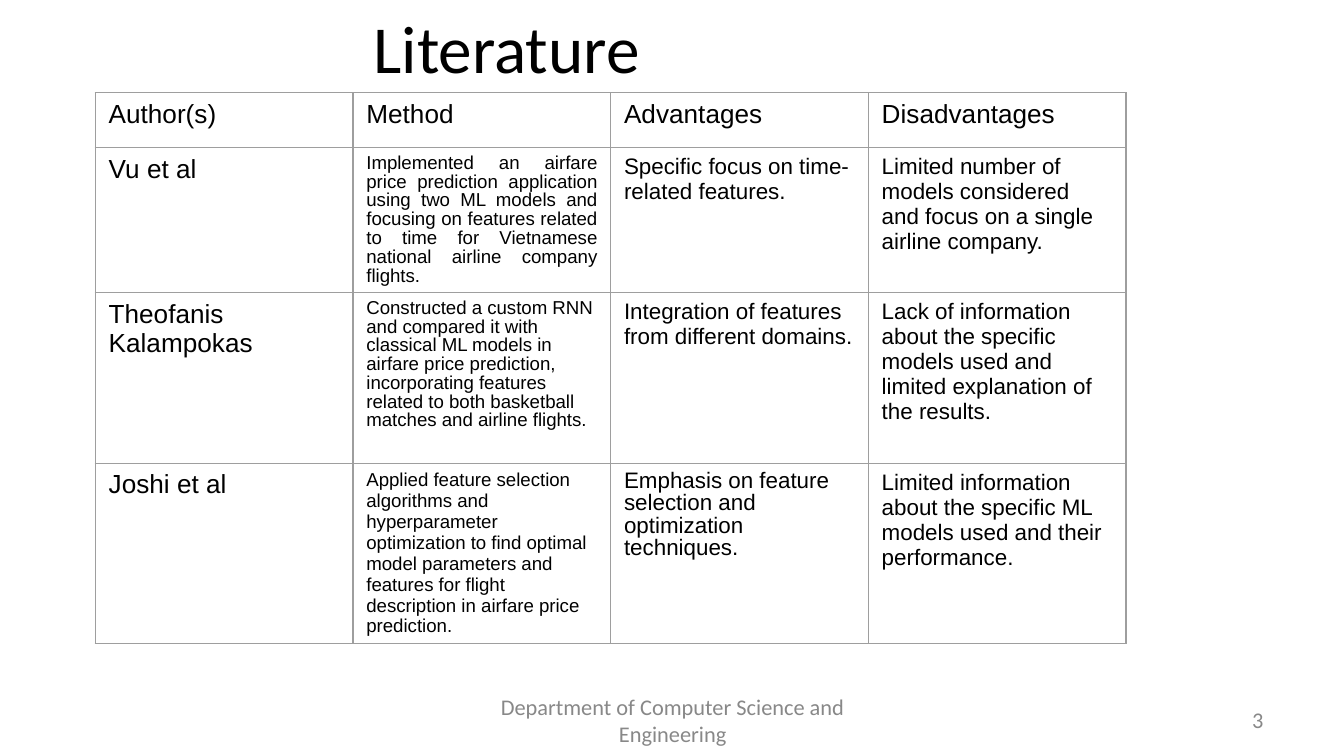
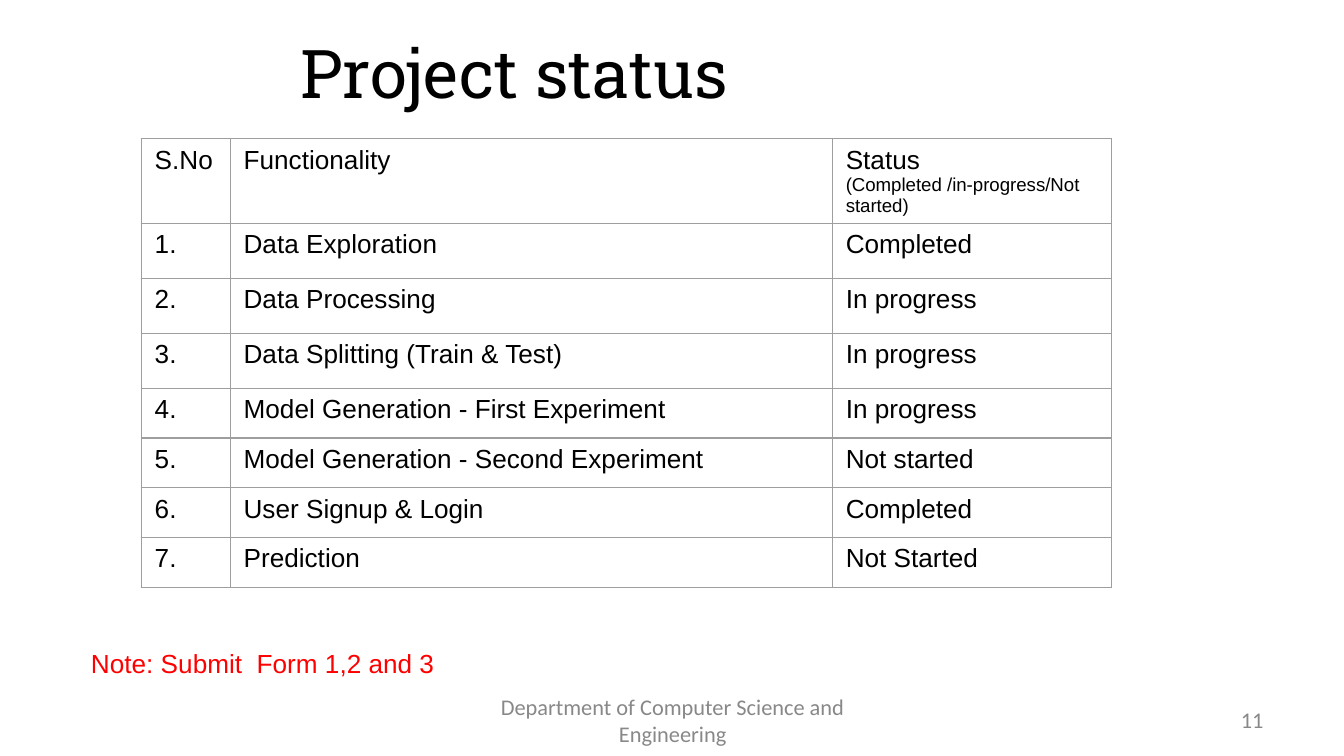
from dataclasses import dataclass
from typing import Optional

from lxml.etree import SubElement
from pptx import Presentation
from pptx.dml.color import RGBColor
from pptx.enum.text import MSO_ANCHOR, MSO_AUTO_SIZE, PP_ALIGN
from pptx.oxml.ns import qn
from pptx.util import Cm, Pt

BLACK, GREY, RED, RULE = "000000", "888888", "FF0000", "9E9E9E"
DEPT = "Department of Computer Science and Engineering"


@dataclass
class Para:
    """One styled paragraph."""
    text: str
    size: float = 14
    font: str = "Arial"
    hue: str = BLACK
    align: Optional[PP_ALIGN] = None
    lead: Optional[float] = None


@dataclass
class Box:
    """A place on the slide, in centimetres."""
    left: float
    top: float
    width: float
    height: float

    def sides(self) -> tuple:
        """Return the place as lengths."""
        return Cm(self.left), Cm(self.top), Cm(self.width), Cm(self.height)


@dataclass
class Grid:
    """A table: corner, column widths, row heights and cells."""
    left: float
    top: float
    cols: list
    rows: list
    cells: list


@dataclass
class Page:
    """What differs from slide to slide."""
    title: Para
    top: float
    number: str
    grid: Grid
    note: Optional[Para] = None


def paint(hue: str) -> RGBColor:
    """Turn a hex string into a colour."""
    return RGBColor.from_string(hue)


def write(frame, *paras: Para) -> None:
    """Fill a text frame with styled paragraphs."""
    for index, item in enumerate(paras):
        para = frame.paragraphs[0] if index == 0 else frame.add_paragraph()
        para.text = item.text
        para.font.size = Pt(item.size)
        para.font.name = item.font
        para.font.color.rgb = paint(item.hue)
        if item.align is not None:
            para.alignment = item.align
        if item.lead is not None:
            para.line_spacing = item.lead


def label(slide, box: Box, para: Para, anchor=MSO_ANCHOR.MIDDLE) -> None:
    """Add a wrapped text box."""
    frame = slide.shapes.add_textbox(*box.sides()).text_frame
    frame.word_wrap = True
    frame.vertical_anchor = anchor
    write(frame, para)


def border(cell) -> None:
    """Rule all four sides of a cell and clear its fill."""
    props = cell._tc.get_or_add_tcPr()
    for side in ("a:lnL", "a:lnR", "a:lnT", "a:lnB"):
        line = SubElement(props, qn(side), w=str(Pt(0.75)))
        SubElement(SubElement(line, qn("a:solidFill")), qn("a:srgbClr"), val=RULE)
    cell.fill.background()


def tabulate(slide, grid: Grid) -> None:
    """Draw a ruled table."""
    box = Box(grid.left, grid.top, sum(grid.cols), sum(grid.rows))
    table = slide.shapes.add_table(len(grid.rows), len(grid.cols), *box.sides()).table
    table.first_row = table.horz_banding = False
    for col, width in zip(table.columns, grid.cols):
        col.width = Cm(width)
    for row, height, line in zip(table.rows, grid.rows, grid.cells):
        row.height = Cm(height)
        for cell, item in zip(row.cells, line):
            border(cell)
            paras = item if isinstance(item, tuple) else (item,)
            write(cell.text_frame, *(Para(p) if isinstance(p, str) else p for p in paras))


def draw(deck, page: Page) -> None:
    """Build one slide."""
    slide = deck.slides.add_slide(deck.slide_layouts[5])
    title = slide.shapes.title
    title.left, title.top, title.width, title.height = Box(1.22, page.top, 17, 1.75).sides()
    title.text_frame.auto_size = MSO_AUTO_SIZE.NONE
    title.text_frame.vertical_anchor = MSO_ANCHOR.MIDDLE
    write(title.text_frame, page.title)
    tabulate(slide, page.grid)
    if page.note:
        label(slide, Box(1.47, 12.12, 8.38, 0.86), page.note, MSO_ANCHOR.TOP)
    label(slide, Box(8.69, 13.23, 8.05, 0.76), Para(DEPT, 12, "Calibri", GREY, PP_ALIGN.CENTER))
    label(slide, Box(18.21, 13.23, 5.92, 0.76), Para(page.number, 12, "Calibri", GREY, PP_ALIGN.RIGHT))


def head(text: str, font: str) -> Para:
    """Style a slide title."""
    return Para(text, 36, font, align=PP_ALIGN.CENTER)


def small(text: str, lead: Optional[float] = None, align: Optional[PP_ALIGN] = None) -> Para:
    """Style fine print."""
    return Para(text, 10, lead=lead, align=align)


def mid(text: str, lead: Optional[float] = None) -> Para:
    """Style a remark."""
    return Para(text, 12, lead=lead)


WORKS = [
    ["Author(s)", "Method", "Advantages", "Disadvantages"],
    ["Vu et al",
     small("Implemented an airfare price prediction application using two ML models and focusing on "
           "features related to time for Vietnamese national airline company flights.",
           0.9, PP_ALIGN.JUSTIFY),
     mid("Specific focus on time-related features."),
     mid("Limited number of models considered and focus on a single airline company.")],
    ["Theofanis Kalampokas",
     small("Constructed a custom RNN and compared it with classical ML models in airfare price "
           "prediction, incorporating features related to both basketball matches and airline "
           "flights.", 0.9),
     mid("Integration of features from different domains."),
     mid("Lack of information about the specific models used and limited explanation of the results.")],
    ["Joshi et al",
     small("Applied feature selection algorithms and hyperparameter optimization to find optimal "
           "model parameters and features for flight description in airfare price prediction."),
     mid("Emphasis on feature selection and optimization techniques.", 0.9),
     mid("Limited information about the specific ML models used and their performance.")],
]

TASKS = [
    ("Data Exploration", "Completed"),
    ("Data Processing", "In progress"),
    ("Data Splitting (Train & Test)", "In progress"),
    ("Model Generation - First Experiment", "In progress"),
    ("Model Generation - Second Experiment", "Not started"),
    ("User Signup & Login", "Completed"),
    ("Prediction", "Not Started"),
]
STATES = [["S.No", "Functionality", ("Status", small("(Completed /in-progress/Not started)"))]]
STATES += [[f"{count}.", *task] for count, task in enumerate(TASKS, 1)]

PAGES = [
    Page(head("Literature ", "Calibri"), 0, "3",
         Grid(1.8, 1.75, [4.87] * 4, [1.04, 2.72, 3.23, 3.4], WORKS)),
    Page(head("Project status", "Roboto Slab"), 0.48, "11",
         Grid(2.67, 2.62, [1.68, 11.38, 5.28], [1.59] + [1.04] * 3 + [0.94] * 4, STATES),
         Para("Note: Submit  Form 1,2 and 3", hue=RED)),
]


def main() -> None:
    """Build and save the deck."""
    deck = Presentation()
    deck.slide_width, deck.slide_height = Cm(25.4), Cm(14.29)
    for page in PAGES:
        draw(deck, page)
    deck.save("out.pptx")


if __name__ == "__main__":
    main()
